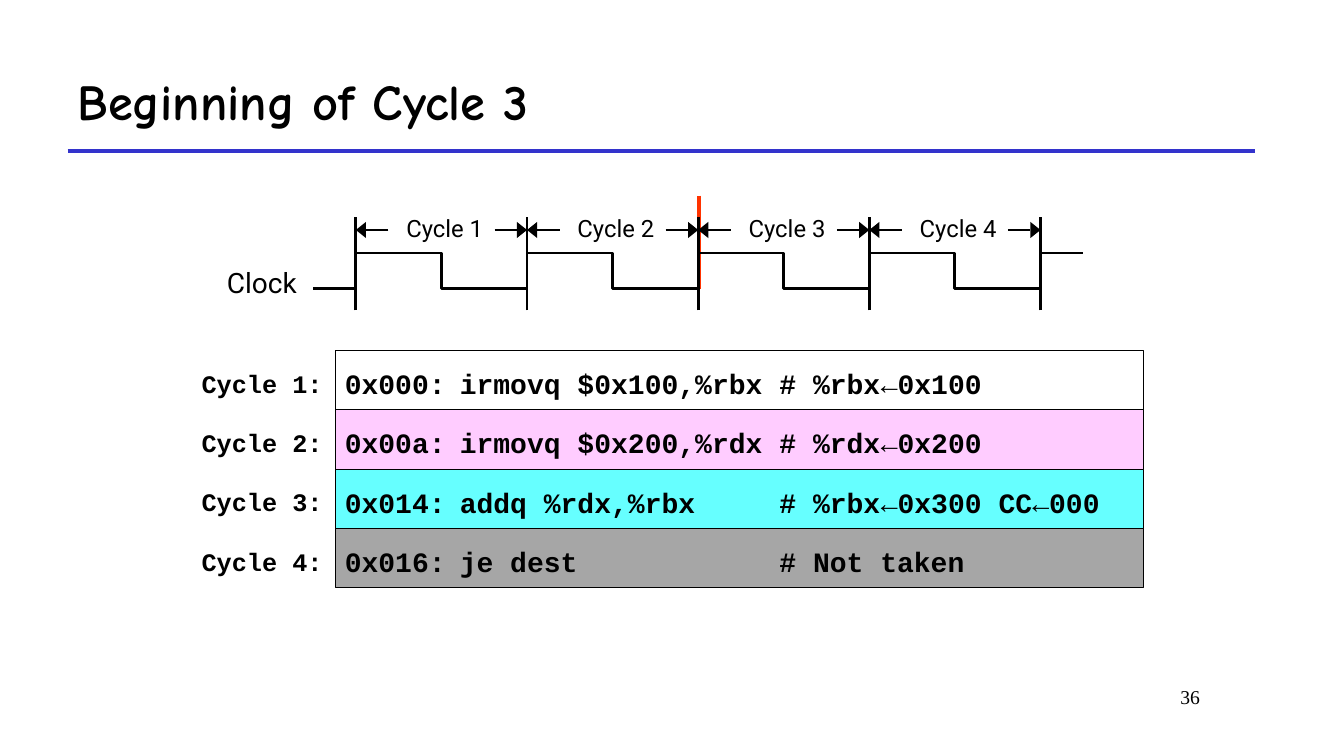
from dataclasses import dataclass

from lxml.etree import SubElement
from pptx import Presentation
from pptx.dml.color import RGBColor
from pptx.enum.shapes import MSO_CONNECTOR as Connector, MSO_SHAPE as Preset
from pptx.enum.text import MSO_ANCHOR as Anchor, PP_ALIGN as Align
from pptx.oxml.ns import qn
from pptx.util import Inches, Pt


@dataclass(frozen=True)
class Theme:
    ink: str = "000000"
    rule: str = "3333CC"
    now: str = "FF3300"
    rows: tuple = ("FFFFFF", "FFCCFF", "66FFFF", "A6A6A6")
    title_font: str = "Comic Neue"
    code_font: str = "Courier New"
    label_font: str = "Roboto"
    number_font: str = "Times New Roman"
    title: int = 36
    code: int = 20
    code_label: int = 18
    cycle: int = 17
    number: int = 14
    hairline: float = 0
    wave: float = 2
    heavy: float = 3


THEME = Theme()
PROGRAM = [
    ("0x000:", "irmovq $0x100,%rbx # %rbx←0x100"),
    ("0x00a:", "irmovq $0x200,%rdx # %rdx←0x200"),
    ("0x014:", "addq %rdx,%rbx     # %rbx←0x300 CC←000"),
    ("0x016:", "je dest            # Not taken"),
]
ARROW = "←"


def inches(*lengths):
    return [Inches(length) for length in lengths]


def add_text(slide, box, text, font, size, bold=False, align=Align.LEFT,
             anchor=Anchor.MIDDLE, inset=0):
    frame = slide.shapes.add_textbox(*inches(*box)).text_frame
    frame.word_wrap = True
    frame.vertical_anchor = anchor
    frame.margin_left = frame.margin_right = Inches(inset)
    frame.margin_top = frame.margin_bottom = Inches(inset / 2)
    paragraph = frame.paragraphs[0]
    paragraph.alignment = align
    paragraph.font.name, paragraph.font.size = font, Pt(size)
    paragraph.font.bold = bold
    paragraph.font.color.rgb = RGBColor.from_string(THEME.ink)
    for index, piece in enumerate(text.split(ARROW)):
        if index:
            arrow = paragraph.add_run()
            arrow.text, arrow.font.bold = ARROW, False
        paragraph.add_run().text = piece


def add_line(slide, start, end, color, weight):
    line = slide.shapes.add_connector(Connector.STRAIGHT, *inches(*start, *end))
    line.line.color.rgb = RGBColor.from_string(color)
    line.line.width = Pt(weight)
    SubElement(line._element.spPr, qn("a:effectLst"))


def add_outline(slide, points, close):
    builder = slide.shapes.build_freeform(*inches(*points[0]))
    builder.add_line_segments([inches(*point) for point in points[1:]], close=close)
    outline = builder.convert_to_shape()
    outline.shadow.inherit = False
    return outline


def add_arrow(slide, tail, tip, y):
    """Horizontal arrow with a solid triangular head ending at tip."""
    head_length, half_height = 0.1, 0.08
    base = tip - head_length if tip > tail else tip + head_length
    add_line(slide, (tail, y), (base, y), THEME.ink, THEME.hairline)
    head = add_outline(
        slide, [(base, y - half_height), (tip, y), (base, y + half_height)], True)
    head.fill.solid()
    head.fill.fore_color.rgb = RGBColor.from_string(THEME.ink)
    head.line.fill.background()


def add_header(slide, box, title):
    left, top, width, height = box
    add_text(slide, box, title, THEME.title_font, THEME.title, bold=True, inset=0.1)
    bottom = top + height
    add_line(slide, (left, bottom), (left + width, bottom), THEME.rule, THEME.heavy)


def add_clock(slide, box, cycles, current):
    """Clock wave; the box spans the cycles, from red marker to tick ends."""
    left, top, width, height = box
    period = width / cycles
    edges = [left + index * period for index in range(cycles + 1)]
    high, low = top + height * 0.5, top + height * 0.81
    span_y, tick_top = top + height * 0.3, top + height * 0.19

    now = edges[current - 1] + 0.01
    add_line(slide, (now, top), (now, low), THEME.now, THEME.heavy)
    add_text(slide, (left - 1.28, low - 0.21, 0.8, 0.3), "Clock",
             THEME.label_font, THEME.code)

    wave = [(left - period / 4, low)]
    for number, start in enumerate(edges[:-1], 1):
        end, middle = start + period, start + period / 2
        add_arrow(slide, start + period * 0.19, start, span_y)
        add_arrow(slide, end - period * 0.19, end, span_y)
        add_text(slide, (start + 0.5, span_y - 0.17, 0.9, 0.3), f"Cycle {number}",
                 THEME.label_font, THEME.cycle)
        wave += [(start, low), (start, high), (middle, high), (middle, low)]
    wave += [(edges[-1], low), (edges[-1], high), (edges[-1] + period / 4, high)]

    for edge in edges:
        add_line(slide, (edge, top + height), (edge, tick_top),
                 THEME.ink, THEME.hairline)
    signal = add_outline(slide, wave, False)
    signal.fill.background()
    signal.line.color.rgb = RGBColor.from_string(THEME.ink)
    signal.line.width = Pt(THEME.wave)


def add_program(slide, box, program):
    """One coloured row per instruction, with its cycle to the left."""
    left, top, width, height = box
    row_height = height / len(program)
    for index, (address, code) in enumerate(program):
        row_top = top + index * row_height
        row = slide.shapes.add_shape(
            Preset.RECTANGLE, *inches(left, row_top, width, row_height))
        row.shadow.inherit = False
        row.fill.solid()
        row.fill.fore_color.rgb = RGBColor.from_string(THEME.rows[index])
        row.line.color.rgb = RGBColor.from_string(THEME.ink)
        row.line.width = Pt(THEME.hairline)
        columns = [
            (-1.33, 1.3, f"Cycle {index + 1}:", THEME.code_label),
            (0.09, 1.14, address, THEME.code),
            (1.23, width - 1.3, code, THEME.code),
        ]
        for offset, column_width, text, size in columns:
            add_text(slide, (left + offset, row_top + 0.03, column_width, row_height),
                     text, THEME.code_font, size, bold=True)


def main():
    deck = Presentation()
    deck.slide_width, deck.slide_height = inches(13.33, 7.5)
    slide = deck.slides.add_slide(deck.slide_layouts[6])
    add_header(slide, (0.67, 0.5, 11.78, 1), "Beginning of Cycle 3")
    add_clock(slide, (3.53, 1.94, 6.79, 1.14), cycles=4, current=3)
    add_program(slide, (3.33, 3.48, 8.01, 2.35), PROGRAM)
    add_text(slide, (10.11, 6.75, 1.89, 0.5), "36", THEME.number_font, THEME.number,
             align=Align.RIGHT, anchor=Anchor.TOP, inset=0.1)
    deck.save("out.pptx")


if __name__ == "__main__":
    main()
